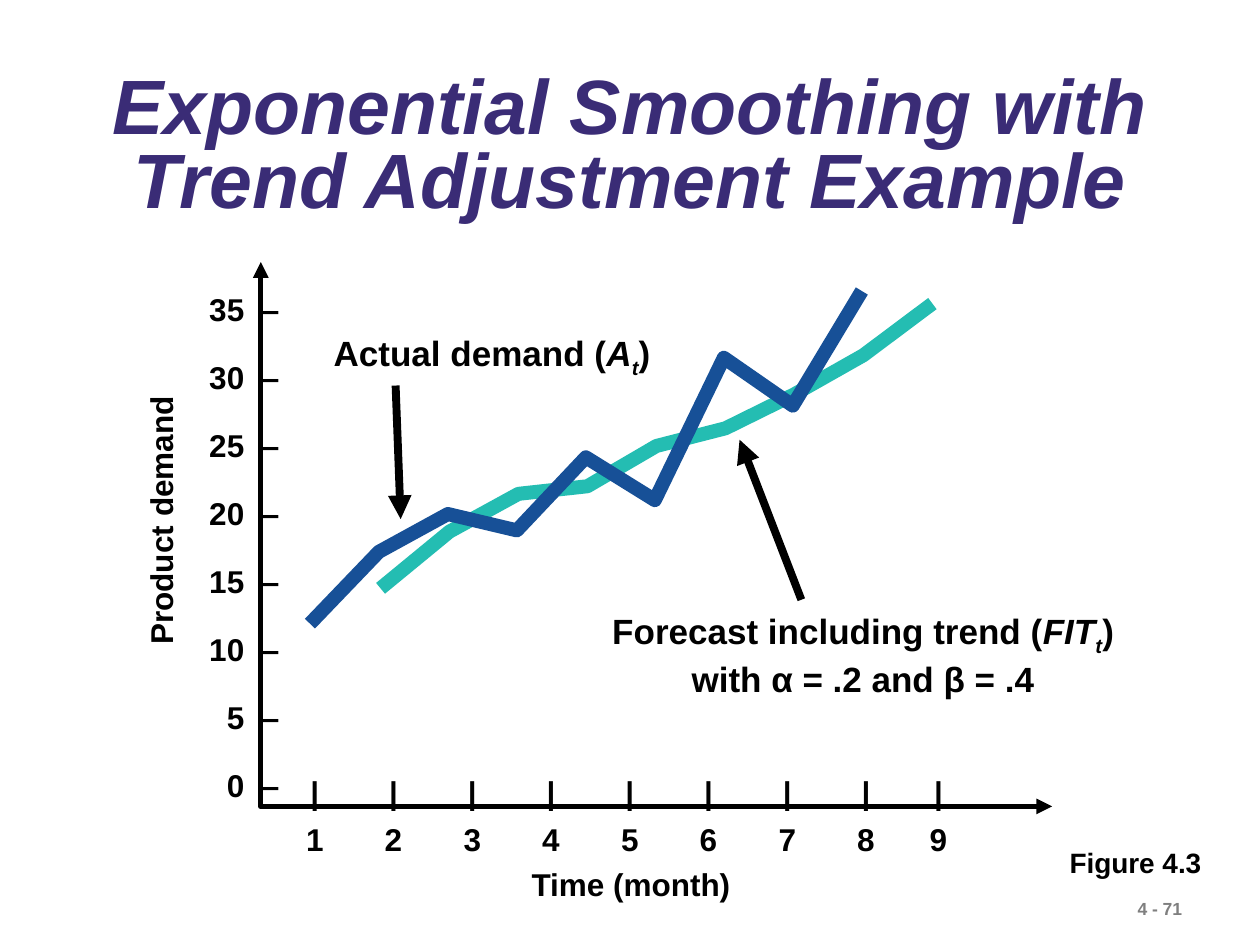
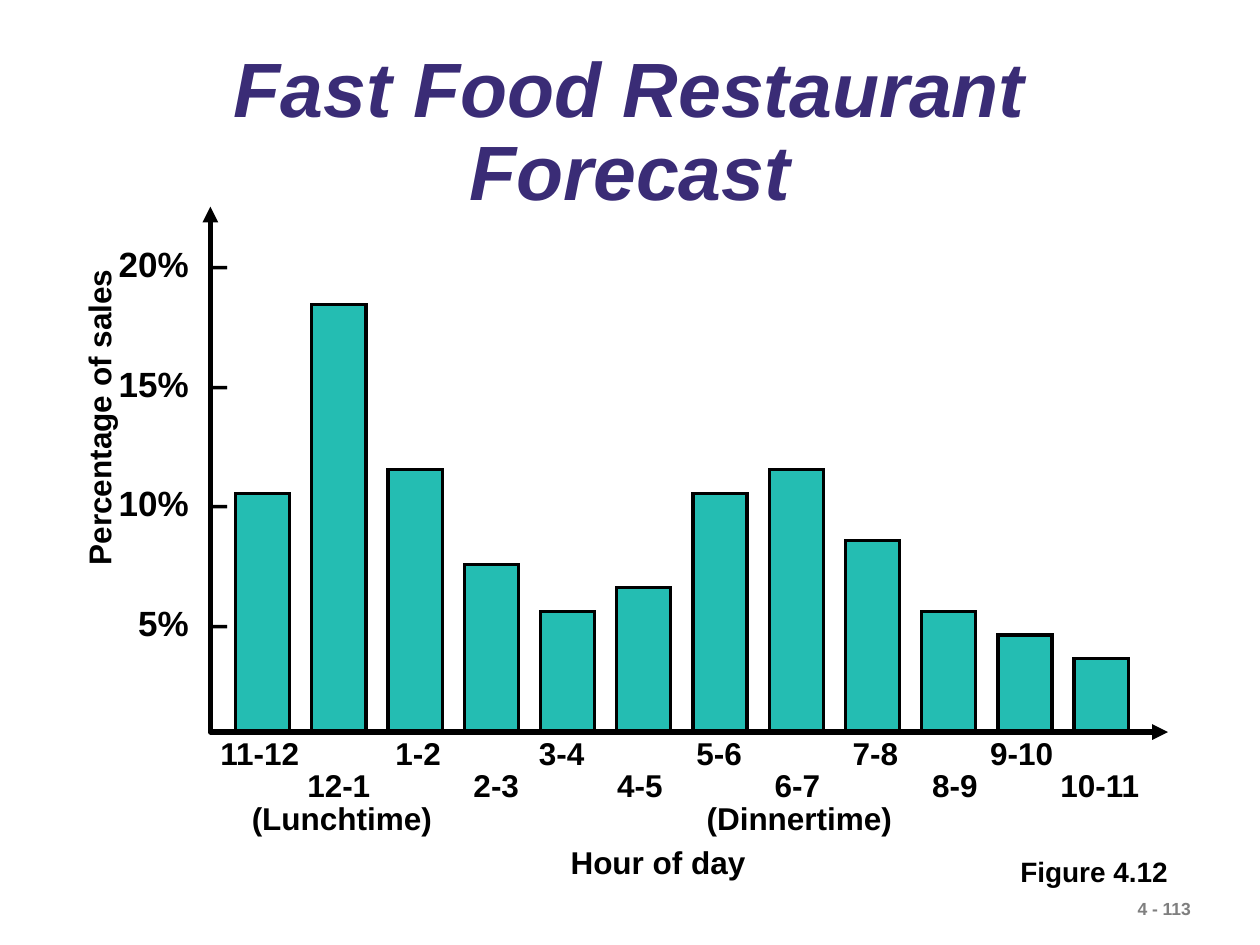
import pptx
import pptx.util
import pptx.dml.color
import pptx.enum.shapes
import pptx.enum.text
import pptx.oxml
import pptx.oxml.ns
from lxml import etree

Inches = pptx.util.Inches
Pt = pptx.util.Pt
Align = pptx.enum.text.PP_ALIGN
FONT = "Arial"
INK, PLUM, GREY, TEAL, BLUE = "000000", "3A2C76", "7F7F7F", "24BDB2", "175097"


def color(code):
    """Turn a hex string into a colour."""
    return pptx.dml.color.RGBColor.from_string(code)


def sub(parent, tag, **attrs):
    """Append a drawing element to a parent."""
    return etree.SubElement(parent, pptx.oxml.ns.qn("a:" + tag), attrs)


def add_run(para, text, size, code=INK, italic=False, base=0):
    """Add one bold run to a paragraph."""
    run = para.add_run()
    run.text = text
    font = run.font
    font.name, font.size, font.bold, font.italic = FONT, Pt(size), True, italic
    font.color.rgb = color(code)
    if base:
        run._r.get_or_add_rPr().set("baseline", str(base * 1000))


def add_text(slide, box, rows, size=18, code=INK, align=Align.LEFT,
             space=None, tabs=(), wrap=False, turn=0):
    """Place rows of text, each a string or a list of (text, italic, base)."""
    shape = slide.shapes.add_textbox(*map(Inches, box))
    shape.rotation = turn
    frame = shape.text_frame
    frame.word_wrap = wrap
    for i, row in enumerate(rows):
        para = frame.paragraphs[0] if i == 0 else frame.add_paragraph()
        para.alignment = align
        if space:
            para.line_spacing = space
        if tabs:
            stops = sub(para._p.get_or_add_pPr(), "tabLst")
            for pos, kind in tabs:
                sub(stops, "tab", pos=str(Inches(pos)), algn=kind)
        for text, italic, base in [(row, False, 0)] if isinstance(row, str) else row:
            add_run(para, text, size, code, italic, base)


def set_line(shape, code, width, ends=(), join="round"):
    """Set a line with its join and arrowheads."""
    shape.line.color.rgb = color(code)
    shape.line.width = Pt(width)
    line = shape.line._get_or_add_ln()
    sub(line, join)
    for end in ends:
        sub(line, end, type="triangle")


def add_path(slide, points, code, width, ends=()):
    """Draw an open path through the points."""
    spots = [(Inches(x), Inches(y)) for x, y in points]
    pen = slide.shapes.build_freeform(*spots[0])
    pen.add_line_segments(spots[1:], close=False)
    shape = pen.convert_to_shape()
    shape.shadow.inherit = False
    shape.fill.background()
    set_line(shape, code, width, ends)


def add_axes(slide, x, y, wide, high):
    """Draw both axes along the left and lower sides of the box."""
    points = [(x, y), (x, y + high), (x + wide, y + high)]
    add_path(slide, points, INK, 3, ("headEnd", "tailEnd"))


def add_scale(slide, box, labels, size, space, stops):
    """Write the labels of the upright axis with their ticks."""
    tabs = list(zip(stops, ("r", "l")))
    rows = [f"\t{label}\t–" for label in labels]
    add_text(slide, box, rows, size, space=space, tabs=tabs, wrap=True)


def add_trend(slide, x, y, wide, drops, code):
    """Draw a series at equal steps across a width."""
    step = wide / (len(drops) - 1)
    add_path(slide, [(x + i * step, y + drop) for i, drop in enumerate(drops)], code, 8)


def add_arrow(slide, start, end):
    """Draw a pointer from a label to its series."""
    kind = pptx.enum.shapes.MSO_CONNECTOR.STRAIGHT
    arrow = slide.shapes.add_connector(kind, *map(Inches, start + end))
    set_line(arrow, INK, 4.5, ("tailEnd",))
    sub(arrow._element.spPr, "effectLst")


def add_slide(deck, title, box, space, page):
    """Add a slide with its title and page number."""
    slide = deck.slides.add_slide(deck.slide_layouts[5])
    head = slide.shapes.title
    head.left, head.top, head.width, head.height = map(Inches, box)
    frame = head.text_frame
    frame.word_wrap = True
    frame.auto_size = pptx.enum.text.MSO_AUTO_SIZE.NONE
    frame.vertical_anchor = pptx.enum.text.MSO_ANCHOR.MIDDLE
    para = frame.paragraphs[0]
    para.alignment, para.line_spacing = Align.CENTER, space
    add_run(para, title, 44, PLUM, True)
    add_text(slide, (8.93, 7.08, 1.07, 0.27), [page], 10, GREY)
    return slide


def demand_chart(slide, x, y):
    """Draw demand and forecast by month."""
    add_axes(slide, x, y, 6.28, 4.32)
    tabs = [(0.32 + 0.625 * i, "ctr") for i in range(8)] + [(5.27, "ctr")]
    months = "".join(f"\t{i}" for i in range(1, 10))
    add_text(slide, (x + 0.01, y + 3.93, 5.8, 0.85), ["\t|" * 9, months],
             space=1.25, tabs=tabs, wrap=True)
    add_text(slide, (x + 2.05, y + 4.74, 1.78, 0.4), ["Time (month)"])
    add_text(slide, (x - 1.88, y + 1.85, 2.17, 0.4), ["Product demand"], turn=270)
    add_scale(slide, (x - 0.8, y - 0.07, 1.25, 4.42), range(35, -1, -5),
              18, 1.8, (0.57, 0.71))
    add_trend(slide, x + 0.95, y, 4.38,
              (2.59, 2.14, 1.84, 1.78, 1.46, 1.32, 1.05, 0.74, 0.33), TEAL)
    add_trend(slide, x + 0.39, y, 4.38,
              (2.87, 2.3, 2, 2.13, 1.55, 1.89, 0.76, 1.14, 0.23), BLUE)
    actual = [("Actual demand (", False, 0), ("A", True, 0),
              ("t", True, -25), (")", False, 0)]
    add_text(slide, (x + 0.48, y + 0.5, 2.71, 0.48), [actual], 20)
    add_arrow(slide, (x + 1.07, y + 0.98), (x + 1.11, y + 2.04))
    trend = [("Forecast including trend (", False, 0), ("FIT", True, 0),
             ("t", True, -25), (")", False, 0)]
    add_text(slide, (x + 2.69, y + 2.71, 4.18, 0.82),
             [trend, "with α = .2 and β = .4"], 20, align=Align.CENTER)
    add_arrow(slide, (x + 4.29, y + 2.68), (x + 3.8, y + 1.41))


def sales_chart(slide, x, y):
    """Draw the share of sales by hour."""
    high = 4.17
    shares = (10, 18, 11, 7, 5, 6, 10, 11, 8, 5, 4, 3)
    for i, share in enumerate(shares):
        tall = 0.02 + share * 3 / 16
        box = (x + 0.2 + i * 0.605, y + high - tall, 0.43, tall)
        bar = slide.shapes.add_shape(pptx.enum.shapes.MSO_SHAPE.RECTANGLE,
                                     *map(Inches, box))
        bar.shadow.inherit = False
        bar.fill.solid()
        bar.fill.fore_color.rgb = color(TEAL)
        set_line(bar, INK, 1.87, join="miter")
    add_scale(slide, (x - 1.02, y - 0.38, 1.46, 3.9),
              [f"{n}%" for n in (20, 15, 10, 5)], 20, 2.85, (0.75, 0.91))
    add_axes(slide, x, y, 7.6, high)
    stops = (0.94, 1.57, 2.19, 2.71, 3.33, 3.96, 4.58, 5.2, 5.83, 6.36, 6.98)
    hours = ("11-12", "12-1", "1-2", "2-3", "3-4", "4-5",
             "5-6", "6-7", "7-8", "8-9", "9-10", "10-11")
    rows = ["\t\t".join(hours[::2]), "\t" + "\t\t".join(hours[1::2])]
    add_text(slide, (x - 0.02, y + 4.18, 7.69, 0.61), rows, space=0.85,
             tabs=[(stop, "ctr") for stop in stops], wrap=True)
    for left, down, wide, text in ((0.23, 4.65, 1.63, "(Lunchtime)"),
                                   (3.84, 4.65, 1.67, "(Dinnertime)"),
                                   (2.76, 5, 1.59, "Hour of day")):
        add_text(slide, (x + left, y + down, wide, 0.4), [text])
    add_text(slide, (x - 2.16, y + 1.47, 2.55, 0.4), ["Percentage of sales"], turn=270)


def main():
    """Build and save the deck."""
    deck = pptx.Presentation()
    deck.slide_width, deck.slide_height = Inches(10), Inches(7.5)
    slide = add_slide(deck, "Exponential Smoothing with Trend Adjustment Example",
                      (0.51, 0.47, 8.99, 1.43), 0.8, "4 - 71")
    add_text(slide, (8.39, 6.66, 1.3, 0.37), ["Figure 4.3"], 16, wrap=True)
    demand_chart(slide, 2.07, 2.08)
    slide = add_slide(deck, "Fast Food Restaurant Forecast",
                      (0.75, 0.4, 8.5, 1.33), 0.9, "4 - 113")
    sales_chart(slide, 1.67, 1.64)
    add_text(slide, (8, 6.73, 1.45, 0.37), ["Figure 4.12"], 16, wrap=True)
    deck.save("out.pptx")


if __name__ == "__main__":
    main()
